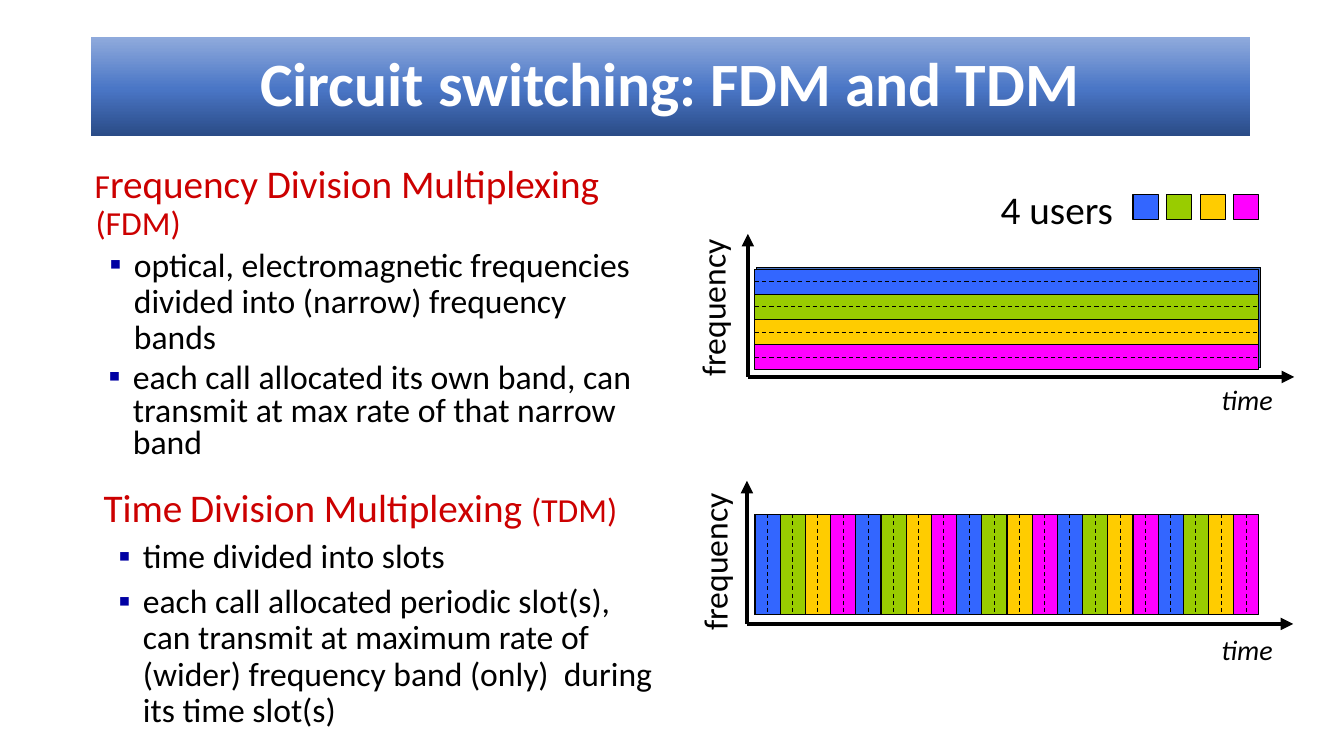
import copy
from dataclasses import dataclass

import pptx
import pptx.dml.color
import pptx.enum.dml
import pptx.enum.shapes
import pptx.enum.text
import pptx.oxml
import pptx.oxml.ns
import pptx.shapes.connector
import pptx.slide
import pptx.text.text
import pptx.util

Pt = pptx.util.Pt


@dataclass(frozen=True)
class Theme:
    font: str = "Calibri"
    black: str = "000000"
    white: str = "FFFFFF"
    heading: str = "CC0000"
    bullet: str = "0000A3"
    backing: str = "4472C4"
    users: tuple[str, ...] = ("3366FF", "99CC00", "FFCC00", "FF00FF")
    banner: tuple[tuple[float, str], ...] = ((0, "2A4B86"), (0.48, "4A76C6"), (1, "8FAADC"))
    title_size: float = 44
    heading_size: float = 28
    body_size: float = 24
    time_size: float = 20
    thin: float = 0.75
    thick: float = 3


THEME = Theme()


@dataclass(frozen=True)
class Box:
    left: float
    top: float
    width: float
    height: float

    def lengths(self) -> tuple[pptx.util.Length, ...]:
        return Pt(self.left), Pt(self.top), Pt(self.width), Pt(self.height)


@dataclass(frozen=True)
class Words:
    text: str
    size: float = THEME.body_size
    color: str = THEME.black
    bold: bool = False
    italic: bool = False


@dataclass(frozen=True)
class Passage:
    words: tuple[Words, ...]
    bulleted: bool = False


@dataclass(frozen=True)
class TextBlock:
    box: Box
    passages: tuple[Passage, ...]
    line_spacing: float = 0.9
    gap: float = 4


@dataclass(frozen=True)
class Plot:
    origin: tuple[float, float]
    backing: Box
    area: Box
    slots: int
    by_time: bool
    frequency_box: Box
    time_box: Box


def heading(text: str, size: float = THEME.heading_size) -> Words:
    return Words(text, size, THEME.heading)


def point(text: str, size: float = THEME.body_size) -> Passage:
    return Passage((Words(text, size),), bulleted=True)


PLOTS = (
    Plot((534.24, 269.28), Box(540.72, 190.8, 360, 72), Box(539.28, 192.24, 360, 72), 4, False,
         Box(452.16, 200.88, 113.76, 36.72), Box(865.44, 270, 52.56, 31.68)),
    Plot((533.52, 445.68), Box(539.28, 367.2, 360, 72), Box(539.28, 367.2, 360, 72), 20, True,
         Box(453.6, 382.32, 113.76, 36.72), Box(865.44, 448.56, 52.56, 31.68)),
)
AXIS_LENGTH, AXIS_HEIGHT = 390.24, 102.24
SWATCHES = Box(809.28, 138.96, 18, 18)
SWATCH_PITCH = 24

BLOCKS = (
    TextBlock(Box(60.48, 113.76, 414.72, 156.24), (
        Passage((heading("F", THEME.body_size), heading("requency Division Multiplexing "),
                 heading("(FDM)", THEME.body_size))),
        point("optical, electromagnetic frequencies divided into (narrow) frequency bands"))),
    TextBlock(Box(66.96, 345.6, 415.44, 72), (
        Passage((heading("Time"), heading(" ", THEME.body_size),
                 heading("Division Multiplexing "), heading("(TDM)", THEME.body_size))),
        point("time divided into slots")), gap=6),
    TextBlock(Box(59.76, 256.32, 414.72, 82.08), (
        point("each call allocated its own band, can transmit at max rate of that narrow band",
              24.1),), line_spacing=0.8),
    TextBlock(Box(66.96, 414, 415.44, 122.4), (
        point("each call allocated periodic slot(s), can transmit at maximum rate of "
              "(wider) frequency band (only)  during its time slot(s)"),)),
)


def rgb(color: str) -> pptx.dml.color.RGBColor:
    return pptx.dml.color.RGBColor.from_string(color)


def add_words(paragraph: pptx.text.text._Paragraph, words: Words) -> None:
    run = paragraph.add_run()
    run.text = words.text
    run.font.name = THEME.font
    run.font.size = Pt(words.size)
    run.font.color.rgb = rgb(words.color)
    run.font.bold = words.bold
    run.font.italic = words.italic


def indent(paragraph: pptx.text.text._Paragraph, bulleted: bool) -> None:
    properties = paragraph._p.get_or_add_pPr()
    margin, hanging = (28.08, -17.28) if bulleted else (0.72, -0.72)
    properties.set("marL", str(Pt(margin)))
    properties.set("indent", str(Pt(hanging)))
    if bulleted:
        namespace = pptx.oxml.ns.nsdecls("a")
        for element in (f'<a:buClr {namespace}><a:srgbClr val="{THEME.bullet}"/></a:buClr>',
                        f'<a:buFont {namespace} typeface="{THEME.font}"/>',
                        f'<a:buChar {namespace} char="▪"/>'):
            properties.append(pptx.oxml.parse_xml(element))


def add_block(slide: pptx.slide.Slide, block: TextBlock) -> None:
    frame = slide.shapes.add_textbox(*block.box.lengths()).text_frame
    frame.word_wrap = True
    for index, passage in enumerate(block.passages):
        paragraph = frame.add_paragraph() if index else frame.paragraphs[0]
        indent(paragraph, passage.bulleted)
        paragraph.line_spacing = block.line_spacing
        paragraph.space_before = Pt(block.gap if index else 0)
        for words in passage.words:
            add_words(paragraph, words)


def add_label(slide: pptx.slide.Slide, box: Box, words: Words, rotation: float = 0) -> None:
    label = slide.shapes.add_textbox(*box.lengths())
    label.rotation = rotation
    label.text_frame.word_wrap = False
    label.text_frame.auto_size = pptx.enum.text.MSO_AUTO_SIZE.SHAPE_TO_FIT_TEXT
    add_words(label.text_frame.paragraphs[0], words)


def add_bar(slide: pptx.slide.Slide, box: Box, color: str) -> None:
    bar = slide.shapes.add_shape(pptx.enum.shapes.MSO_SHAPE.RECTANGLE, *box.lengths())
    bar.shadow.inherit = False
    bar.fill.solid()
    bar.fill.fore_color.rgb = rgb(color)
    bar.line.color.rgb = rgb(THEME.black)
    bar.line.width = Pt(THEME.thin)


def add_line(slide: pptx.slide.Slide, start: tuple[float, float], end: tuple[float, float],
             width: float = THEME.thin) -> pptx.shapes.connector.Connector:
    line = slide.shapes.add_connector(pptx.enum.shapes.MSO_CONNECTOR.STRAIGHT,
                                      *(Pt(value) for value in start + end))
    line.line.color.rgb = rgb(THEME.black)
    line.line.width = Pt(width)
    line._element.spPr.append(
        pptx.oxml.parse_xml(f'<a:effectLst {pptx.oxml.ns.nsdecls("a")}/>'))
    return line


def add_plot(slide: pptx.slide.Slide, plot: Plot) -> None:
    # Axes and their labels
    x, y = plot.origin
    for tip in ((x, y - AXIS_HEIGHT), (x + AXIS_LENGTH, y)):
        axis = add_line(slide, plot.origin, tip, THEME.thick)
        axis.line._get_or_add_ln().append(pptx.oxml.parse_xml(
            f'<a:tailEnd {pptx.oxml.ns.nsdecls("a")} type="triangle"/>'))
    add_label(slide, plot.frequency_box, Words("frequency"), 270)
    add_label(slide, plot.time_box, Words("time", THEME.time_size, italic=True))

    # Bars taken by the users in turn
    add_bar(slide, plot.backing, THEME.backing)
    area = plot.area
    step = (area.width if plot.by_time else area.height) / plot.slots
    for slot in range(plot.slots):
        box = (Box(area.left + slot * step, area.top, step, area.height) if plot.by_time
               else Box(area.left, area.top + slot * step, area.width, step))
        add_bar(slide, box, THEME.users[slot % len(THEME.users)])

    # Solid borders between slots, dashed lines through their middles
    for half in range(1, 2 * plot.slots):
        offset = half * step / 2
        if plot.by_time:
            x = area.left + offset
            divider = add_line(slide, (x, area.top), (x, area.top + area.height))
        else:
            y = area.top + offset
            divider = add_line(slide, (area.left, y), (area.left + area.width, y))
        if half % 2:
            divider.line.dash_style = pptx.enum.dml.MSO_LINE.DASH


def add_title(slide: pptx.slide.Slide) -> None:
    title = slide.shapes.title
    title.left, title.top, title.width, title.height = Box(64.8, 26.64, 828, 70.56).lengths()
    title.fill.gradient()
    title.fill.gradient_angle = 90
    first_stop = title._element.spPr.find(".//" + pptx.oxml.ns.qn("a:gs"))
    first_stop.addnext(copy.deepcopy(first_stop))
    for stop, (position, color) in zip(title.fill.gradient_stops, THEME.banner):
        stop.position = position
        stop.color.rgb = rgb(color)
    frame = title.text_frame
    frame.auto_size = pptx.enum.text.MSO_AUTO_SIZE.NONE
    frame.vertical_anchor = pptx.enum.text.MSO_ANCHOR.MIDDLE
    paragraph = frame.paragraphs[0]
    paragraph.alignment = pptx.enum.text.PP_ALIGN.CENTER
    paragraph.line_spacing = 0.9
    add_words(paragraph, Words("Circuit switching: FDM and TDM", THEME.title_size,
                               THEME.white, bold=True))


def main() -> None:
    deck = pptx.Presentation()
    deck.slide_width, deck.slide_height = Pt(960), Pt(540)
    slide = deck.slides.add_slide(deck.slide_layouts.get_by_name("Title Only"))
    add_title(slide)
    for plot in PLOTS:
        add_plot(slide, plot)

    # Legend of users
    add_label(slide, Box(707.76, 128.88, 95.76, 41.04), Words("4 users", THEME.heading_size))
    for index, color in enumerate(THEME.users):
        add_bar(slide, Box(SWATCHES.left + index * SWATCH_PITCH, SWATCHES.top,
                           SWATCHES.width, SWATCHES.height), color)

    # Explanations
    for block in BLOCKS:
        add_block(slide, block)
    deck.save("out.pptx")


if __name__ == "__main__":
    main()
